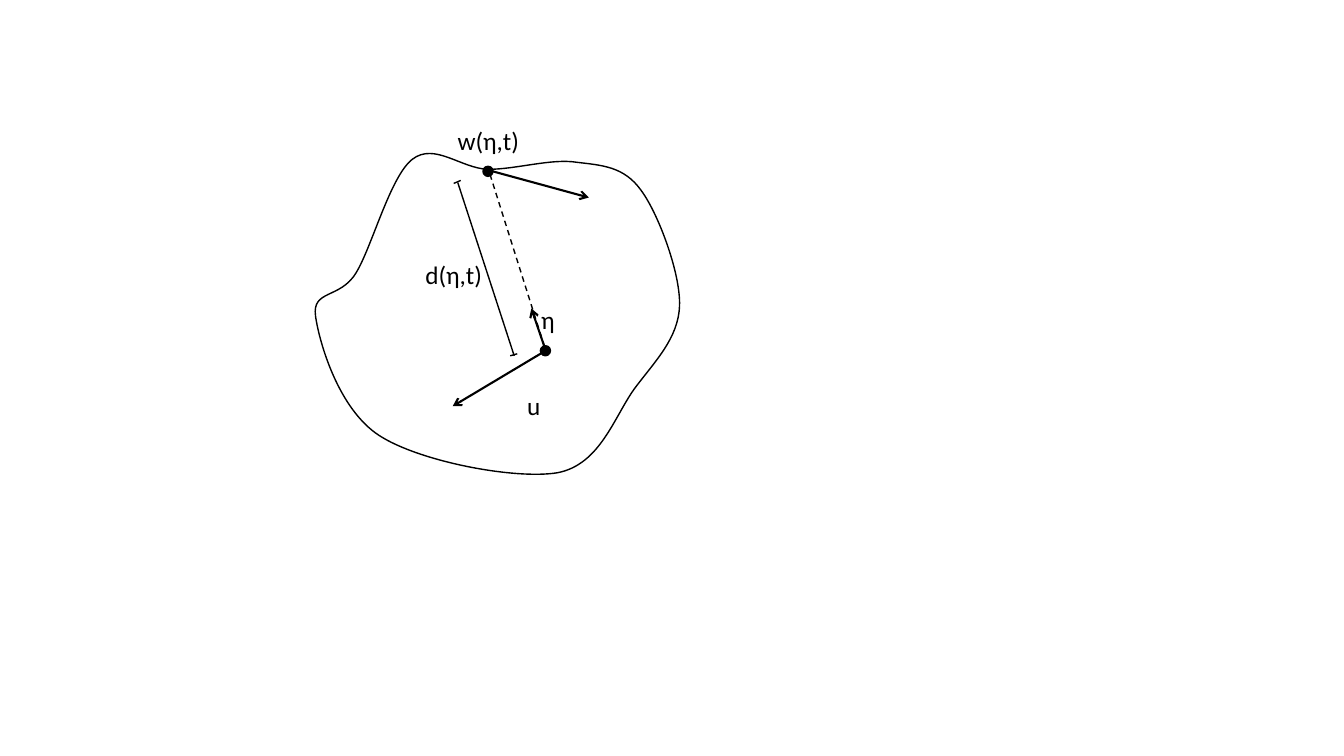
from lxml import etree
from pptx import Presentation
from pptx.dml.color import RGBColor
from pptx.enum.dml import MSO_LINE
from pptx.enum.shapes import MSO_CONNECTOR, MSO_SHAPE
from pptx.enum.text import MSO_AUTO_SIZE
from pptx.oxml.ns import qn
from pptx.util import Inches, Pt


def color(hex_text):
    return RGBColor.from_string(hex_text)


class Diagram:
    font_name = "Calibri"
    font_size = Pt(18)
    ink = "000000"

    def __init__(self, slide):
        self.slide = slide

    def style_line(self, shape, width):
        shape.line.color.rgb = color(self.ink)
        shape.line.width = Pt(width)

    def curve(self, frame, start, curves):
        """Draw a closed curve; each segment has two controls and an end."""
        left, top, width, height = (Inches(value) for value in frame)
        builder = self.slide.shapes.build_freeform(Inches(start[0]), Inches(start[1]))
        builder.add_line_segments([(Inches(x), Inches(y)) for *_, (x, y) in curves], close=True)
        shape = builder.convert_to_shape()
        shape.left, shape.top, shape.width, shape.height = left, top, width, height
        shape.shadow.inherit = False
        shape.fill.background()
        self.style_line(shape, 1)

        # Turn the straight segments into cubic ones, relative to the frame
        outline = next(shape._element.iter(qn("a:path")))
        outline.set("w", str(width))
        outline.set("h", str(height))
        segments = [("a:moveTo", [start])] + [("a:cubicBezTo", curve) for curve in curves]
        for old, (tag, points) in zip(list(outline), segments):
            segment = etree.Element(qn(tag))
            for x, y in points:
                etree.SubElement(segment, qn("a:pt"),
                                 x=str(Inches(x) - left), y=str(Inches(y) - top))
            outline.replace(old, segment)

    def line(self, start, end, width=1, dashed=False, arrow=False, group=None):
        """Draw a line; an arrowhead sits at its start."""
        shapes = (group or self.slide).shapes
        connector = shapes.add_connector(
            MSO_CONNECTOR.STRAIGHT, *(Inches(value) for value in (*start, *end)))
        self.style_line(connector, width)
        if dashed:
            connector.line.dash_style = MSO_LINE.DASH
        properties = connector._element.spPr
        if arrow:
            etree.SubElement(properties.find(qn("a:ln")), qn("a:headEnd"), type="arrow")
        etree.SubElement(properties, qn("a:effectLst"))

    def measure(self, start, end, ticks):
        group = self.slide.shapes.add_group_shape()
        self.line(start, end, group=group)
        for tick_start, tick_end in ticks:
            self.line(tick_start, tick_end, group=group)

    def dot(self, left, top, size=0.1):
        shape = self.slide.shapes.add_shape(
            MSO_SHAPE.OVAL, Inches(left), Inches(top), Inches(size), Inches(size))
        shape.shadow.inherit = False
        shape.fill.solid()
        shape.fill.fore_color.rgb = color(self.ink)
        self.style_line(shape, 1)

    def label(self, text, left, top, width):
        box = self.slide.shapes.add_textbox(Inches(left), Inches(top), Inches(width), Inches(0.4))
        box.text_frame.word_wrap = True
        box.text_frame.auto_size = MSO_AUTO_SIZE.SHAPE_TO_FIT_TEXT
        box.text_frame.text = text
        font = box.text_frame.paragraphs[0].runs[0].font
        font.name, font.size = self.font_name, self.font_size
        font.color.rgb = color(self.ink)


presentation = Presentation()
presentation.slide_width = Inches(13.33)
presentation.slide_height = Inches(7.5)
diagram = Diagram(presentation.slides.add_slide(presentation.slide_layouts[6]))

# Closed boundary of the body
diagram.curve((3.13, 1.52, 3.61, 3.18), (4.84, 1.68), [
    ((5.12, 1.68), (5.47, 1.57), (5.72, 1.61)),
    ((5.97, 1.64), (6.19, 1.65), (6.36, 1.89)),
    ((6.53, 2.12), (6.75, 2.71), (6.74, 3.03)),
    ((6.73, 3.36), (6.49, 3.59), (6.29, 3.86)),
    ((6.09, 4.14), (5.95, 4.61), (5.53, 4.69)),
    ((5.11, 4.76), (4.16, 4.58), (3.76, 4.32)),
    ((3.36, 4.06), (3.17, 3.41), (3.13, 3.14)),
    ((3.09, 2.87), (3.37, 2.97), (3.53, 2.71)),
    ((3.69, 2.45), (3.87, 1.75), (4.09, 1.58)),
    ((4.31, 1.41), (4.57, 1.67), (4.84, 1.68)),
])

# Ray from the boundary to the centre, with its direction
center = (5.41, 3.47)
diagram.line((4.86, 1.73), center, dashed=True)
diagram.line((5.27, 3.06), center, width=1.5, arrow=True)
diagram.dot(5.36, 3.43)

# Distance measure with end ticks
diagram.measure((4.54, 1.81), (5.1, 3.53),
                [((4.5, 1.82), (4.57, 1.79)), ((5.06, 3.53), (5.13, 3.51))])

# Labels
for text, left, top, width in (
    ("u", 5.13, 3.82, 0.37),
    ("η", 5.27, 2.97, 0.37),
    ("d(η,t)", 4.12, 2.52, 0.84),
    ("w(η,t)", 4.44, 1.19, 0.84),
):
    diagram.label(text, left, top, width)

# Velocity arrows and the boundary point
diagram.line((4.49, 4.03), (5.41, 3.48), width=1.5, arrow=True)
diagram.dot(4.79, 1.65)
diagram.line((5.84, 1.96), (4.85, 1.69), width=1.5, arrow=True)

presentation.save("out.pptx")
